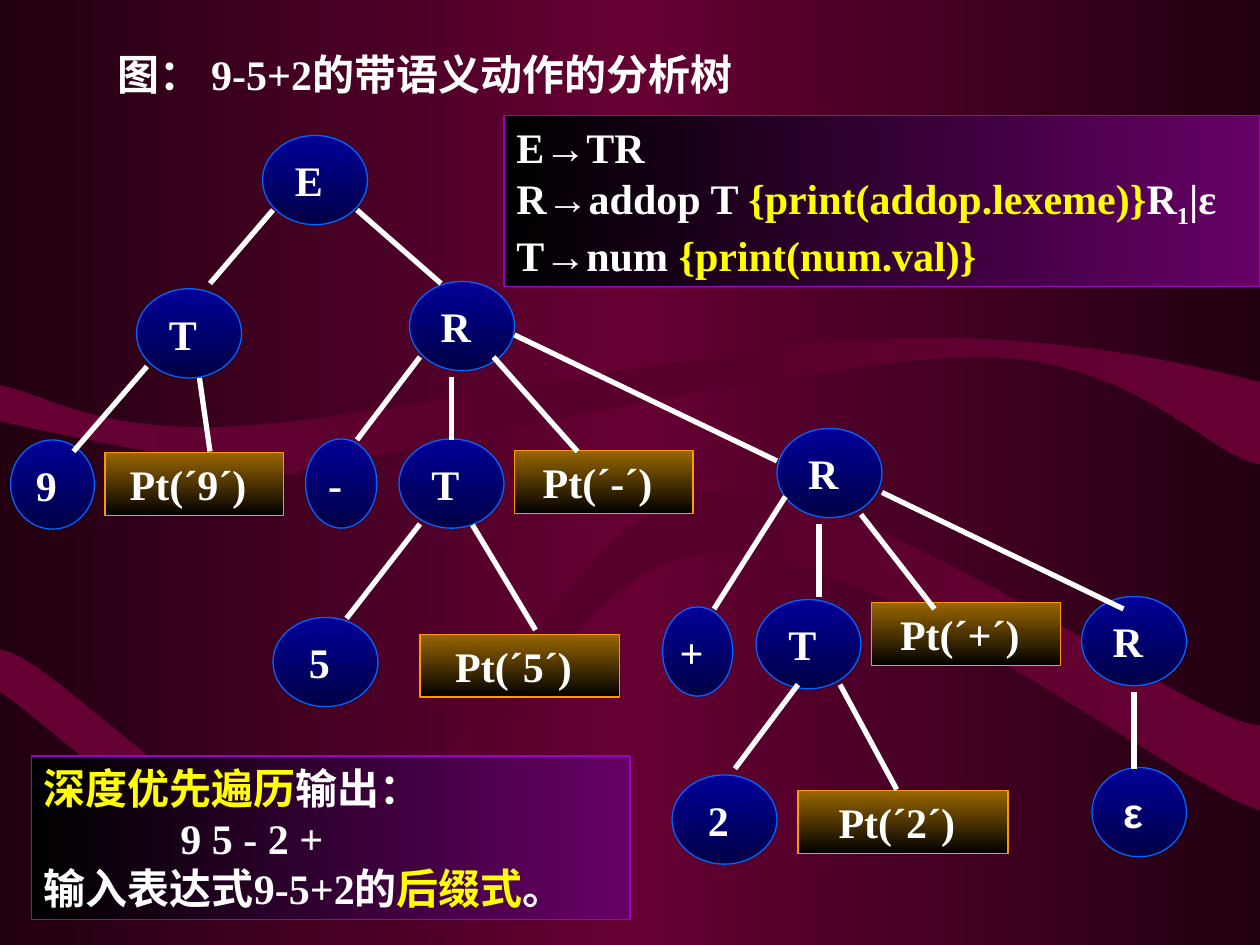
from copy import deepcopy

from lxml import etree
from pptx import Presentation
from pptx import util as u
from pptx.dml.color import RGBColor
from pptx.enum import shapes, text
from pptx.oxml import ns

WHITE = RGBColor(0xFF, 0xFF, 0xFF)
YELLOW = RGBColor(0xFF, 0xFF, 0x00)
BLACK = RGBColor(0x00, 0x00, 0x00)
WINE = RGBColor(0x66, 0x00, 0x33)
PLUM = RGBColor(0x56, 0x00, 0x2B)
DARK = RGBColor(0x22, 0x00, 0x11)
BLUE = RGBColor(0x00, 0x00, 0x99)
NAVY = RGBColor(0x00, 0x00, 0x46)
SKY = RGBColor(0x00, 0x66, 0xFF)
BROWN = RGBColor(0x99, 0x66, 0x00)
ORANGE = RGBColor(0xFF, 0x99, 0x00)
PURPLE = RGBColor(0x66, 0x00, 0x66)
VIOLET = RGBColor(0x99, 0x00, 0xCC)

deck = Presentation()
deck.slide_width, deck.slide_height = u.Inches(10), u.Inches(7.5)
COL, ROW = deck.slide_width / 120, deck.slide_height / 90
slide = deck.slides.add_slide(deck.slide_layouts[5])
items = slide.shapes


def paint(fill, host, tones, angle):
    fill.gradient()
    fill.gradient_angle = angle
    stops = next(host.iter(ns.qn("a:gsLst")))
    while len(stops) < len(tones):
        stops.append(deepcopy(stops[0]))
    for n, (stop, tone) in enumerate(zip(fill.gradient_stops, tones)):
        stop.position = n / (len(tones) - 1)
        stop.color.rgb = tone


def write(frame, lines, look, align):
    for name, value in look.items():
        setattr(frame, name, value)
    for n, runs in enumerate(lines):
        para = frame.add_paragraph() if n else frame.paragraphs[0]
        para.alignment = align
        for words, tone in runs:
            run = para.add_run()
            run.text = words
            face = "Arial" if words == "ε" else "Times New Roman"
            for name, value in {"name": face, "size": u.Pt(24), "bold": True}.items():
                setattr(run.font, name, value)
            run.font.color.rgb = tone


LEFT, MID = text.PP_ALIGN.LEFT, text.PP_ALIGN.CENTER
flow = {"word_wrap": True, "auto_size": text.MSO_AUTO_SIZE.NONE,
        "margin_left": u.Inches(0.1), "margin_right": u.Inches(0.1),
        "margin_top": u.Inches(0.05), "margin_bottom": u.Inches(0.05),
        "vertical_anchor": text.MSO_ANCHOR.TOP}
label = {**flow, "margin_left": 0, "vertical_anchor": text.MSO_ANCHOR.MIDDLE}

paint(slide.background.fill, slide.element, [DARK, WINE, DARK], 180)

waves = [
    ([(0, 40.1), (4.4, 41.2), (21, 44.4), (26.6, 45), (32.3, 45.6), (22.8, 45.5),
      (33.8, 43.7), (45, 41.8), (79.2, 33.8), (93.6, 34), (108, 34), (115.6, 43.8), (120, 44.2)],
     [(120, 36.4), (114, 34.8), (100.3, 31.6), (84.1, 32.3), (67.9, 32.9), (36.8, 39.8),
      (22.8, 40.6), (8.8, 41.3), (4.8, 37.6), (0, 36.7)]),
    ([(0, 65.9), (5.4, 69.4), (20.9, 85.3), (32.3, 83), (43.6, 80.9), (53.2, 53.5),
      (67.8, 52.6), (82.4, 51.5), (111.2, 74.4), (120, 77.2)],
     [(120, 69.1), (112.6, 68.6), (82.9, 45.2), (67.4, 46.9), (52.9, 48.7), (44, 77.5),
      (32.8, 80), (21.5, 82.4), (5.4, 62.4), (0, 61.9)]),
]
tree = slide.slide_layout.slide_master.element.cSld.spTree
for lower, upper in waves:
    dots = [(x * COL, y * ROW) for x, y in [upper[-1], *lower, *upper]]
    pen = items.build_freeform(*dots[0])
    pen.add_line_segments(dots[1:], close=True)
    band = pen.convert_to_shape()
    band.shadow.inherit = False
    band.line.fill.background()
    paint(band.fill, band.element, [WINE, PLUM, WINE], 180)
    marks = list(band.element.iter(ns.qn("a:lnTo")))
    cut = len(lower)
    for side in (marks[1:cut], marks[cut + 1:cut + len(upper)]):
        for first, second, third in zip(side[::3], side[1::3], side[2::3]):
            curve = etree.Element(ns.qn("a:cubicBezTo"))
            first.addprevious(curve)
            for mark in (first, second, third):
                curve.append(mark[0])
                mark.getparent().remove(mark)
    tree.append(band.element)

title = items.title
title.left, title.top = round(10 * COL), round(4 * ROW)
title.width, title.height = round(93 * COL), round(6 * ROW)
write(title.text_frame, [[("图： 9-5+2的带语义动作的分析树", WHITE)]], flow, LEFT)

OVAL, RECT = shapes.MSO_SHAPE.OVAL, shapes.MSO_SHAPE.RECTANGLE
nodes = [("E", 25, 12.9, 10), ("T", 13, 27.5, 10), ("9", 1, 41.9, 8), ("T", 38, 41.8, 10),
         ("R", 74, 40.8, 10), ("R", 39, 26.8, 10), ("-", 29.1, 41.8, 6.8),
         ("5", 26, 58.8, 10), ("+", 63.1, 57.8, 6.7), ("T", 72, 57.1, 10),
         ("2", 64, 73.8, 10), ("R", 103, 56.8, 10), ("ε", 104, 73.1, 9)]
acts = [("9", 10, 43.1, 17), ("-", 49, 42.9, 17), ("+", 83, 57.4, 18),
        ("5", 40, 60.4, 19), ("2", 76, 75.3, 20)]
rules = [[("E→TR", WHITE)],
         [("R→addop T ", WHITE), ("{print(addop.lexeme)}", YELLOW),
          ("R", WHITE), ("1", WHITE), ("|ε", WHITE)],
         [("T→num ", WHITE), ("{print(num.val)}", YELLOW)]]
notes = [[("深度优先遍历", YELLOW), ("输出：", WHITE)],
         [("9 5 - 2 +", WHITE)],
         [("输入表达式9-5+2的", WHITE), ("后缀式", YELLOW), ("。", WHITE)]]

blue = (OVAL, [BLUE, NAVY], 270, SKY, label, MID)
gold = (RECT, [BROWN, BLACK], 270, ORANGE, label, MID)
dusk = (RECT, [PURPLE, BLACK], 180, VIOLET, flow, LEFT)
boxes = [([[(sign, WHITE)]], x, y, w, 8.5, blue) for sign, x, y, w in nodes]
boxes += [([[(f"Pt(´{sign}´)", WHITE)]], x, y, w, 6, gold) for sign, x, y, w in acts]
boxes += [(rules, 48, 11, 72, 16.3, dusk), (notes, 3, 72, 57, 15.6, dusk)]
made = []
for lines, x, y, w, h, (kind, tones, angle, rim, look, align) in boxes:
    box = items.add_shape(kind, round(x * COL), round(y * ROW), round(w * COL), round(h * ROW))
    box.shadow.inherit = False
    paint(box.fill, box.element, tones, angle)
    box.line.color.rgb = rim
    box.line.width = u.Pt(0.75)
    write(box.text_frame, lines, look, align)
    made.append(box)

*_, rule, note = made
low = rule.text_frame.paragraphs[1].runs[3]
low.font._element.set("baseline", "-25000")
shift = note.text_frame.paragraphs[1]._p.get_or_add_pPr()
shift.set("marL", str(u.Pt(78)))
shift.set("indent", "0")

links = [(74.8, 47.3, 68, 58), (26, 20, 20, 27), (14, 34.9, 7, 43), (19, 36, 20, 43),
         (34, 20, 42, 27), (43, 35.9, 43, 41.9), (47, 34, 55, 43), (40, 34, 34, 41.9),
         (40, 49.9, 33, 58.9), (45, 50, 51, 60), (78, 49.9, 78, 56.9), (82, 49, 89, 58),
         (49, 31.9, 74, 43.9), (76, 65.2, 70, 73.2), (84, 46.9, 107, 58),
         (108, 65.9, 108, 73.2), (80, 65.2, 85.4, 75.2)]
for x, y, right, base in links:
    link = items.add_connector(shapes.MSO_CONNECTOR.STRAIGHT, round(x * COL), round(y * ROW),
                               round(right * COL), round(base * ROW))
    link.line.color.rgb = WHITE
    link.line.width = u.Pt(3)
    etree.SubElement(link.element.spPr, ns.qn("a:effectLst"))

deck.save("out.pptx")
